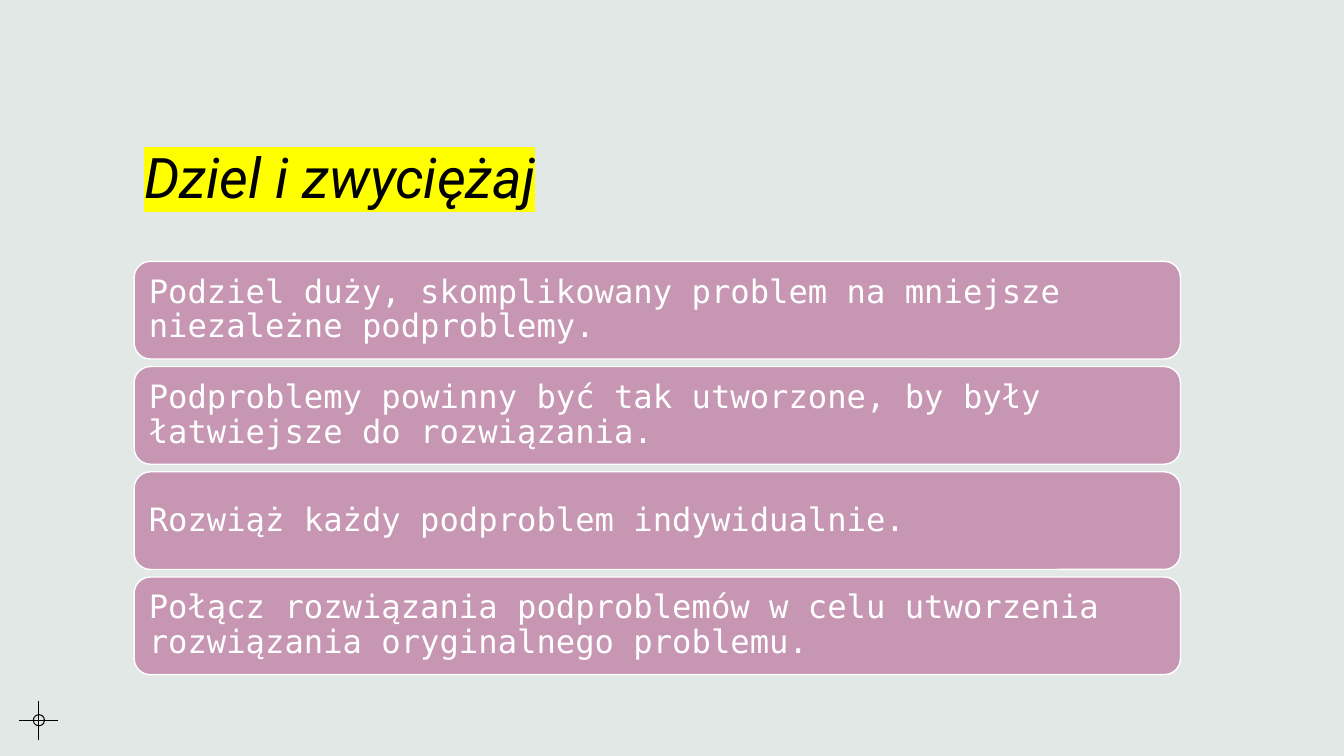
from lxml import etree
from pptx import Presentation
from pptx.dml.color import RGBColor
from pptx.enum.shapes import MSO_CONNECTOR, MSO_SHAPE
from pptx.enum.text import MSO_ANCHOR, MSO_AUTO_SIZE, PP_ALIGN
from pptx.oxml.ns import qn
from pptx.util import Pt

LINE = MSO_CONNECTOR.STRAIGHT
ROUND = MSO_SHAPE.ROUNDED_RECTANGLE
OVAL = MSO_SHAPE.OVAL
MIDDLE, BOTTOM = MSO_ANCHOR.MIDDLE, MSO_ANCHOR.BOTTOM
LEFT = PP_ALIGN.LEFT
FIXED = MSO_AUTO_SIZE.NONE

PALE = RGBColor(0xE2, 0xE8, 0xE5)
PINK = RGBColor(0xC6, 0x96, 0xB2)
WHITE = RGBColor(0xFF, 0xFF, 0xFF)
BLACK = RGBColor(0, 0, 0)
YELLOW = RGBColor(0xFF, 0xFF, 0)

EDGE, WIDTH = 95.8, 747.4
TOP, HEIGHT, STEP = 186.7, 69.8, 75.15
MARK_X, MARK_Y, ARM, RING = 27.8, 514.5, 14, 4

STEPS = (
    "Podziel duży, skomplikowany problem na mniejsze niezależne podproblemy.",
    "Podproblemy powinny być tak utworzone, by były łatwiejsze do rozwiązania.",
    "Rozwiąż każdy podproblem indywidualnie.",
    "Połącz rozwiązania podproblemów w celu utworzenia rozwiązania oryginalnego problemu.",
)


def write(shape, text, *, font, size, color, anchor, space, pad=3.6,
          italic=False, glow=None):
    frame = shape.text_frame
    frame.word_wrap = True
    frame.auto_size = FIXED
    frame.vertical_anchor = anchor
    frame.margin_left = frame.margin_right = Pt(7.2)
    frame.margin_top = frame.margin_bottom = Pt(pad)
    para = frame.paragraphs[0]
    para.alignment = LEFT
    para.line_spacing = space
    run = para.add_run()
    run.text = text
    run.font.size = Pt(size)
    run.font.italic = italic
    run.font.color.rgb = color
    if glow is not None:
        mark = etree.SubElement(run.font._element, qn("a:highlight"))
        etree.SubElement(mark, qn("a:srgbClr"), val=str(glow))
    run.font.name = font


def add_title(slide, text):
    title = slide.shapes.title
    title.left, title.top = Pt(EDGE), Pt(28.8)
    title.width, title.height = Pt(WIDTH), Pt(124.6)
    write(title, text, font="Roboto", size=40, color=BLACK, anchor=BOTTOM,
          space=1.2, italic=True, glow=YELLOW)


def add_card(slide, text, top):
    card = slide.shapes.add_shape(ROUND, Pt(EDGE), Pt(top), Pt(WIDTH), Pt(HEIGHT))
    card.shadow.inherit = False
    card.fill.solid()
    card.fill.fore_color.rgb = PINK
    card.line.color.rgb = WHITE
    card.line.width = Pt(1)
    write(card, text, font="DejaVu Sans Mono", size=23, color=WHITE,
          anchor=MIDDLE, space=0.9, pad=7.2)


def add_line(slide, x1, y1, x2, y2):
    line = slide.shapes.add_connector(LINE, Pt(x1), Pt(y1), Pt(x2), Pt(y2))
    line.line.color.rgb = BLACK
    line.line.width = Pt(0.75)
    etree.SubElement(line._element.spPr, qn("a:effectLst"))


def add_cross(slide):
    add_line(slide, MARK_X - ARM, MARK_Y, MARK_X + ARM, MARK_Y)
    add_line(slide, MARK_X, MARK_Y + ARM, MARK_X, MARK_Y - ARM)
    ring = slide.shapes.add_shape(OVAL, Pt(MARK_X - RING), Pt(MARK_Y - RING),
                                  Pt(2 * RING), Pt(2 * RING))
    ring.shadow.inherit = False
    ring.fill.background()
    ring.line.color.rgb = BLACK
    ring.line.width = Pt(0.75)


def main():
    deck = Presentation()
    deck.slide_width, deck.slide_height = Pt(960), Pt(540)
    slide = deck.slides.add_slide(deck.slide_layouts[5])
    slide.background.fill.solid()
    slide.background.fill.fore_color.rgb = PALE
    add_cross(slide)
    add_title(slide, "Dziel i zwyciężaj")
    for row, text in enumerate(STEPS):
        add_card(slide, text, TOP + row * STEP)
    deck.save("out.pptx")


if __name__ == "__main__":
    main()
